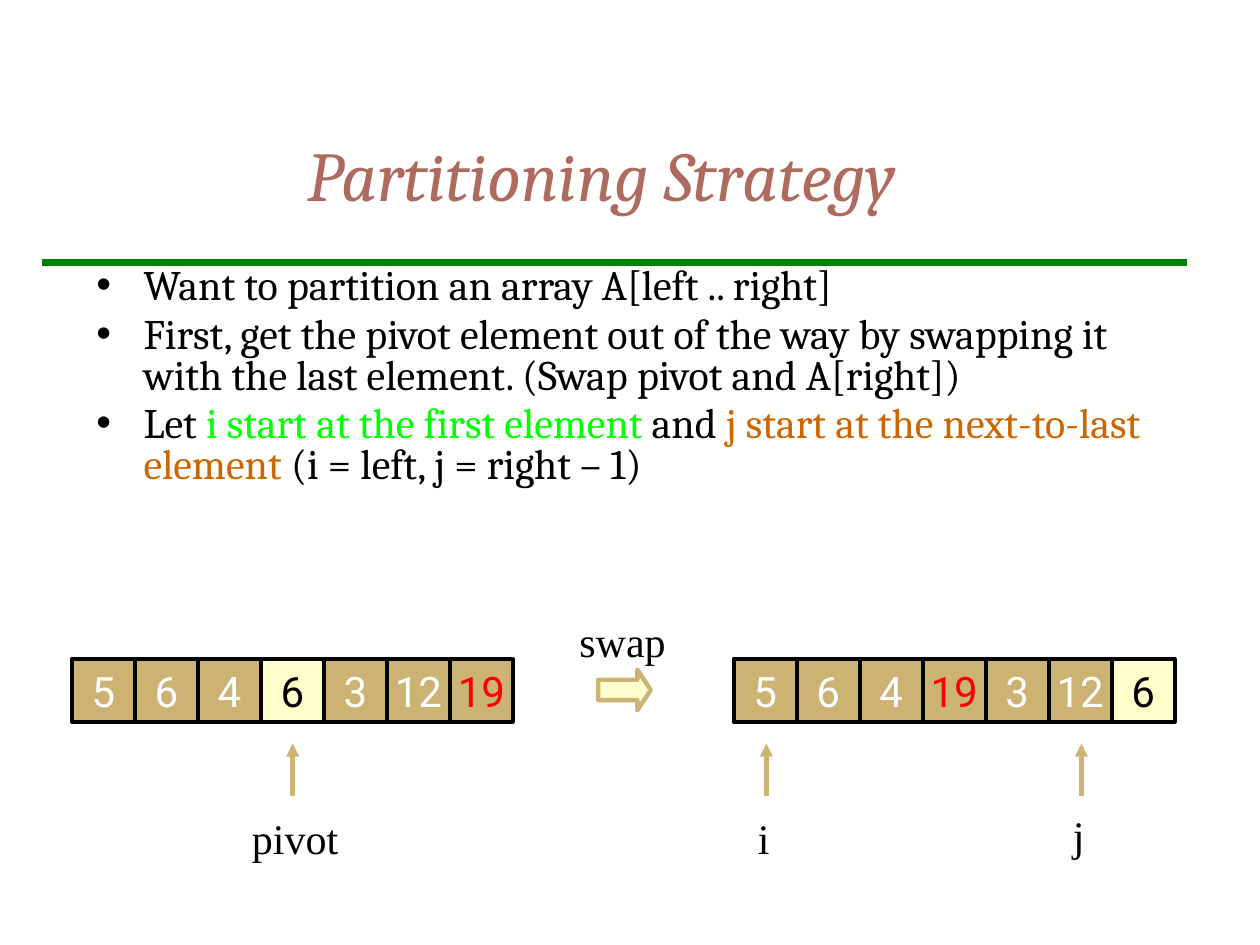
from lxml.etree import SubElement
from pptx import Presentation
from pptx.dml.color import RGBColor
from pptx.enum.shapes import MSO_CONNECTOR as Connector, MSO_SHAPE as Shape
from pptx.enum.text import MSO_ANCHOR as Anchor, MSO_AUTO_SIZE as AutoSize, PP_ALIGN as Align
from pptx.oxml.ns import qn
from pptx.util import Cm, Pt

BLACK = RGBColor(0x00, 0x00, 0x00)
WHITE = RGBColor(0xFF, 0xFF, 0xFF)
RED = RGBColor(0xFF, 0x00, 0x00)
GREEN = RGBColor(0x00, 0x80, 0x00)
LIME = RGBColor(0x00, 0xFF, 0x00)
ORANGE = RGBColor(0xCC, 0x66, 0x00)
ROSE = RGBColor(0xAF, 0x6A, 0x5F)
TAN = RGBColor(0xCC, 0xB3, 0x74)
CREAM = RGBColor(0xFF, 0xFF, 0xCC)

SERIF, DIGITS, LABELS = "Cambria", "Roboto", "Times New Roman"

# Array geometry in centimetres
CELL = 1.27
ROW_TOP = 13.28
BEFORE_LEFT, AFTER_LEFT = 1.45, 14.79

BULLETS = [
    [("Want to partition an array A[left .. right]", BLACK)],
    [("First, get the pivot element out of the way by swapping it with the "
      "last element. (Swap pivot and A[right])", BLACK)],
    [("Let ", BLACK), ("i start at the first element", LIME), (" and ", BLACK),
     ("j start at the next-to-last element", ORANGE),
     (" (i = left, j = right – 1)", BLACK)],
]


def place(shape, left, top, width, height):
    shape.left, shape.top = Cm(left), Cm(top)
    shape.width, shape.height = Cm(width), Cm(height)


def add_run(paragraph, text, font, color, size=24):
    run = paragraph.add_run()
    run.text = text
    run.font.name, run.font.size = font, Pt(size)
    run.font.color.rgb = color
    return run


def add_title(slide, text):
    title = slide.shapes.title
    place(title, 5.94, 1.9, 19.02, 3.18)
    frame = title.text_frame
    frame.vertical_anchor, frame.auto_size = Anchor.MIDDLE, AutoSize.NONE
    paragraph = frame.paragraphs[0]
    paragraph.alignment = Align.LEFT
    add_run(paragraph, text, SERIF, ROSE, 40).font.italic = True


def add_bullets(slide, bullets):
    body = slide.placeholders[1]
    place(body, 1.69, 5.29, 21.8, 5.72)
    frame = body.text_frame
    frame.auto_size = AutoSize.NONE
    for index, parts in enumerate(bullets):
        paragraph = frame.add_paragraph() if index else frame.paragraphs[0]
        paragraph.line_spacing, paragraph.space_before = 0.8, Pt(4.8)
        props = paragraph._p.get_or_add_pPr()
        props.set("marL", str(Cm(0.95)))
        props.set("indent", str(-Cm(0.95)))
        SubElement(props, qn("a:buFont"), typeface="Arial")
        SubElement(props, qn("a:buChar"), char="•")
        for text, color in parts:
            add_run(paragraph, text, SERIF, color)


def add_text(slide, text, left, top, width, height, font, color):
    frame = slide.shapes.add_textbox(
        Cm(left), Cm(top), Cm(width), Cm(height)).text_frame
    frame.word_wrap = True
    add_run(frame.paragraphs[0], text, font, color)
    return frame


def add_line(slide, start, end, color, width, arrow=False):
    line = slide.shapes.add_connector(
        Connector.STRAIGHT, *(Cm(value) for value in start + end))
    line.line.color.rgb, line.line.width = color, Pt(width)
    if arrow:
        SubElement(line.line._get_or_add_ln(), qn("a:tailEnd"), type="triangle")
    SubElement(line._element.spPr, qn("a:effectLst"))


def add_block(slide, kind, left, top, width, height, fill, outline, weight):
    block = slide.shapes.add_shape(kind, Cm(left), Cm(top), Cm(width), Cm(height))
    block.shadow.inherit = False
    block.fill.solid()
    block.fill.fore_color.rgb = fill
    block.line.color.rgb, block.line.width = outline, Pt(weight)
    return block


def add_cell(slide, value, left, fill, color):
    """Draw a square cell with its value centred on one line."""
    add_block(slide, Shape.RECTANGLE, left, ROW_TOP, CELL, CELL, fill, BLACK, 2.25)
    frame = add_text(slide, str(value), left, ROW_TOP, CELL, CELL, DIGITS, color)
    frame.margin_left = frame.margin_right = 0
    frame.margin_top = frame.margin_bottom = 0
    frame.vertical_anchor = Anchor.MIDDLE
    frame.paragraphs[0].alignment = Align.CENTER


def add_array(slide, left, values, pivot):
    """Draw one row of cells; the pivot is light, the swapped 19 is red."""
    for index, value in enumerate(values):
        if index == pivot:
            fill, color = CREAM, BLACK
        else:
            fill, color = TAN, RED if value == 19 else WHITE
        add_cell(slide, value, left + index * CELL, fill, color)


def add_pointer(slide, label, x, label_left, label_top, label_width):
    add_line(slide, (x, 16.05), (x, 14.99), TAN, 2.5, arrow=True)
    add_text(slide, label, label_left, label_top, label_width, 1.1, LABELS, BLACK)


def main():
    deck = Presentation()
    deck.slide_width, deck.slide_height = Cm(25.4), Cm(19.05)
    slide = deck.slides.add_slide(deck.slide_layouts[1])

    # Heading and explanation
    add_line(slide, (0.85, 5.29), (23.92, 5.29), GREEN, 4)
    add_title(slide, "Partitioning Strategy")
    add_bullets(slide, BULLETS)

    # Pointers below the arrays
    add_pointer(slide, "pivot", 5.9, 4.83, 16.26, 2.34)
    add_pointer(slide, "i", 15.45, 15.03, 16.26, 0.85)
    add_pointer(slide, "j", 21.8, 21.38, 16.2, 1.06)

    # Array before and after the swap
    add_array(slide, BEFORE_LEFT, [5, 6, 4, 6, 3, 12, 19], pivot=3)
    add_array(slide, AFTER_LEFT, [5, 6, 4, 19, 3, 12, 6], pivot=6)

    # Swap arrow
    swap = add_block(slide, Shape.RIGHT_ARROW, 12.06, 13.5, 1.06, 0.82, CREAM, TAN, 2.5)
    swap.adjustments[0], swap.adjustments[1] = 0.5, 0.33
    add_text(slide, "swap", 11.43, 12.28, 2.75, 1.1, LABELS, BLACK)

    deck.save("out.pptx")


if __name__ == "__main__":
    main()
